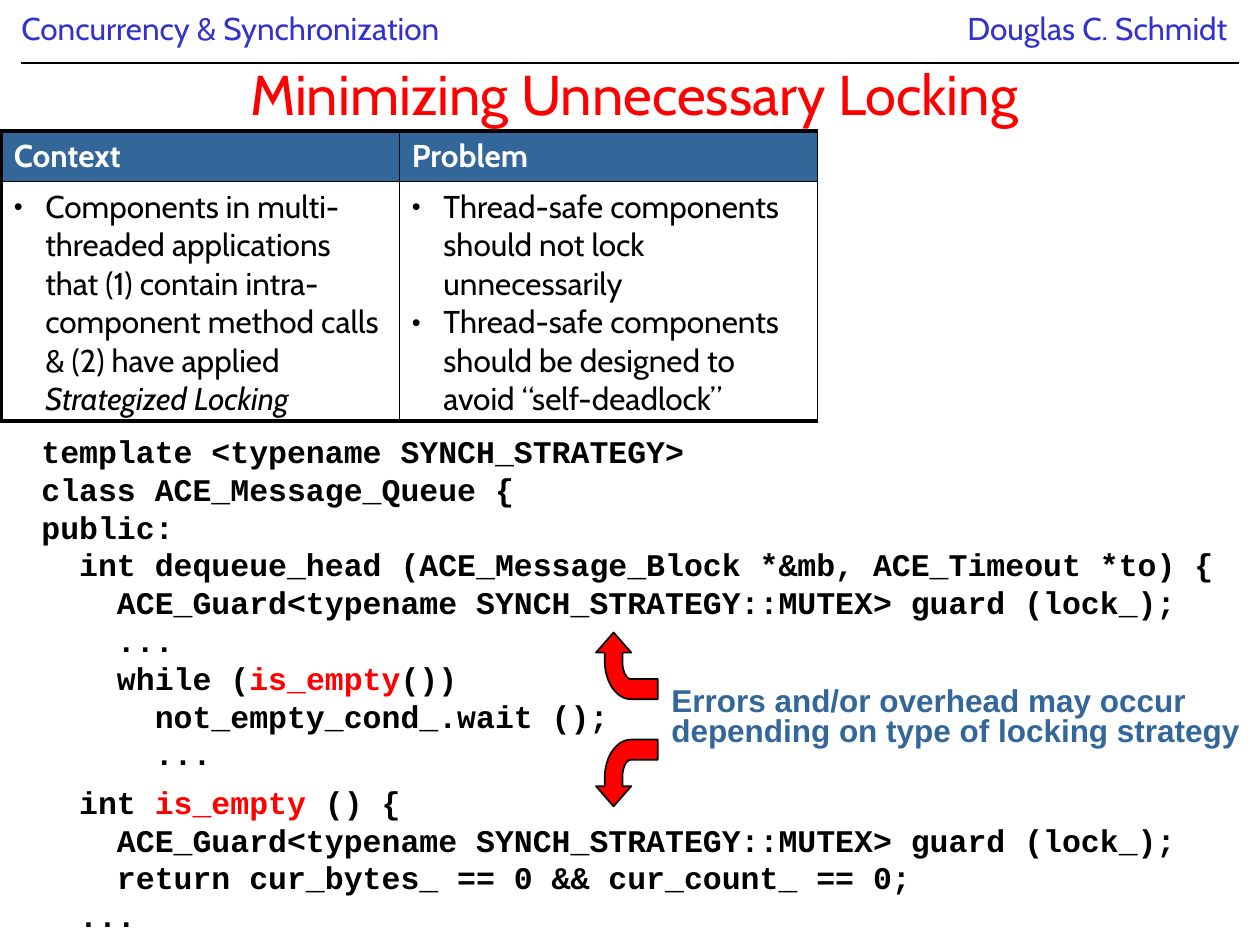
from lxml import etree
from pptx import Presentation
from pptx import util as u
from pptx.dml.color import RGBColor
from pptx.enum import shapes, text
from pptx.oxml.ns import qn

COLORS = {"header": "3333CC", "red": "FF0000", "blue": "336699",
          "black": "000000", "white": "FFFFFF"}

HEADERS = [
    ("Concurrency & Synchronization", (0.17, 0.06, 6.52, 0.37), "LEFT", 0),
    ("Douglas C. Schmidt", (7.33, 0.06, 2.51, 0.37), "RIGHT", 0.1),
]
TITLE = "Minimizing Unnecessary Locking"
COLUMNS = [
    ("Context", 3.16, [
        ("Components in multi-threaded applications that (1) contain "
         "intra-component method calls & (2) have applied ", "Strategized Locking")]),
    ("Problem", 3.32, [
        ("Thread-safe components should not lock unnecessarily",),
        ("Thread-safe components should be designed to avoid “self-deadlock”",)]),
]
ROW_HEIGHTS = [0.38, 1.34]
CALL = "is_empty"
CODE = [
    "template <typename SYNCH_STRATEGY> \nclass ACE_Message_Queue {",
    "public:",
    "  int dequeue_head (ACE_Message_Block *&mb, ACE_Timeout *to) {",
    "    ACE_Guard<typename SYNCH_STRATEGY::MUTEX> guard (lock_);",
    "    ...",
    "    while (is_empty()) \n      not_empty_cond_.wait ();",
    "      ...",
    "  int is_empty () {",
    "    ACE_Guard<typename SYNCH_STRATEGY::MUTEX> guard (lock_);",
    "    return cur_bytes_ == 0 && cur_count_ == 0;",
    "  ...",
]
METHOD_END = 6
NOTE = "Errors and/or overhead may occur depending on type of locking strategy"

ARROW_TIPS = [(5.02, 1), (6.4, -1)]
ARROW_X = 4.73
OUTER = [(0.07, 0.23), (0.07, 0.39), (0.16, 0.53), (0.28, 0.53)]
INNER = [(0.28, 0.37), (0.24, 0.37), (0.21, 0.31), (0.21, 0.23)]


def rgb(name):
    return RGBColor.from_string(COLORS[name])


def style(font, name, color, size=18, bold=False, italic=False):
    font.name, font.size = name, u.Pt(size)
    font.bold, font.italic = bold, italic
    font.color.rgb = rgb(color)


def text_box(s, box, grow=True):
    tf = s.shapes.add_textbox(*map(u.Inches, box)).text_frame
    tf.word_wrap = True
    if grow:
        tf.auto_size = text.MSO_AUTO_SIZE.SHAPE_TO_FIT_TEXT
    return tf


def add_header(s, label, box, align, inset):
    tf = text_box(s, box)
    tf.margin_left = tf.margin_right = u.Inches(inset)
    p = tf.paragraphs[0]
    p.text = label
    p.alignment = text.PP_ALIGN[align]
    p.line_spacing = 0.9
    style(p.runs[0].font, "Cabin", "header")


def add_bullet(p):
    pPr = p._p.get_or_add_pPr()
    pPr.set("marL", str(u.Inches(0.25)))
    pPr.set("indent", str(-u.Inches(0.25)))
    for tag, key, value in [("buSzPct", "val", "80000"),
                            ("buFont", "typeface", "Arial"),
                            ("buChar", "char", "•")]:
        etree.SubElement(pPr, qn("a:" + tag)).set(key, value)


def set_borders(cell, widths):
    tcPr = cell._tc.get_or_add_tcPr()
    for i, (side, width) in enumerate(zip("LRTB", widths)):
        ln = etree.Element(qn("a:ln" + side), w=str(u.Pt(width)))
        fill = etree.SubElement(ln, qn("a:solidFill"))
        etree.SubElement(fill, qn("a:srgbClr")).set("val", COLORS["black"])
        tcPr.insert(i, ln)


def add_pattern_table(s):
    width = sum(c[1] for c in COLUMNS)
    table = s.shapes.add_table(2, 2, *map(u.Inches, (0.01, 1.04, width, sum(ROW_HEIGHTS)))).table
    table.horz_banding = False
    for row, height in zip(table.rows, ROW_HEIGHTS):
        row.height = u.Inches(height)
    for col, (heading, width, bullets) in enumerate(COLUMNS):
        table.columns[col].width = u.Inches(width)
        left = 1 if col else 2.25
        head, body = table.cell(0, col), table.cell(1, col)
        set_borders(head, (left, 1, 2.25, 1))
        set_borders(body, (left, 1, 1, 2.25))
        head.fill.solid()
        head.fill.fore_color.rgb = rgb("blue")
        body.fill.background()
        head.text_frame.text = heading
        style(head.text_frame.paragraphs[0].runs[0].font, "Cabin", "white", bold=True)
        tf = body.text_frame
        for i, parts in enumerate(bullets):
            p = tf.add_paragraph() if i else tf.paragraphs[0]
            add_bullet(p)
            for j, part in enumerate(parts):
                r = p.add_run()
                r.text = part
                style(r.font, "Cabin", "black", italic=j > 0)


def add_code(s):
    tf = text_box(s, (0.23, 3.38, 9.81, 4.12))
    for i, block in enumerate(CODE):
        p = tf.add_paragraph() if i else tf.paragraphs[0]
        for j, line in enumerate(block.split("\n")):
            if j:
                p.add_line_break()
            for part in filter(None, line.partition(CALL)):
                r = p.add_run()
                r.text = part
                style(r.font, "Courier New", "red" if part == CALL else "black", bold=True)
        if i == METHOD_END:
            p.space_after = u.Pt(6)


def curve(points, steps=12):
    for k in range(steps + 1):
        t = k / steps
        weights = ((1 - t) ** 3, 3 * t * (1 - t) ** 2, 3 * t * t * (1 - t), t ** 3)
        yield tuple(sum(w * p[axis] for w, p in zip(weights, points)) for axis in (0, 1))


def add_arrow(s, tip, direction):
    outline = [(0.14, 0), (0, 0.16), (0.07, 0.16), *curve(OUTER),
               (0.49, 0.53), (0.49, 0.37), *curve(INNER), (0.21, 0.16), (0.28, 0.16)]
    points = [(u.Inches(ARROW_X + x), u.Inches(tip + direction * y)) for x, y in outline]
    fb = s.shapes.build_freeform(*points[0])
    fb.add_line_segments(points[1:], close=True)
    sp = fb.convert_to_shape()
    sp.shadow.inherit = False
    sp.fill.solid()
    sp.fill.fore_color.rgb = rgb("red")
    sp.line.color.rgb = rgb("black")
    sp.line.width = u.Pt(1)


def main():
    prs = Presentation()
    prs.slide_width, prs.slide_height = u.Inches(10), u.Inches(7.5)
    s = prs.slides.add_slide(prs.slide_layouts[6])

    rule = s.shapes.add_connector(shapes.MSO_CONNECTOR.STRAIGHT,
                                  *map(u.Inches, (0.17, 0.5, 9.83, 0.5)))
    rule.line.color.rgb = rgb("black")
    rule.line.width = u.Pt(0.75)
    etree.SubElement(rule._element.spPr, qn("a:effectLst"))
    for header in HEADERS:
        add_header(s, *header)

    footer = s.shapes.add_shape(shapes.MSO_SHAPE.RECTANGLE,
                                *map(u.Inches, (-0.02, 6.89, 10.02, 0.64)))
    footer.shadow.inherit = False
    footer.fill.solid()
    footer.fill.fore_color.rgb = rgb("white")
    footer.line.fill.background()

    tf = text_box(s, (0.31, 0.24, 9.45, 1), grow=False)
    tf.vertical_anchor = text.MSO_ANCHOR.MIDDLE
    tf.text = TITLE
    tf.paragraphs[0].alignment = text.PP_ALIGN.CENTER
    style(tf.paragraphs[0].runs[0].font, "Cabin", "red", size=32)

    add_pattern_table(s)
    add_code(s)

    tf = text_box(s, (5.23, 5.41, 4.73, 0.59))
    tf.text = NOTE
    tf.paragraphs[0].line_spacing = 0.8
    style(tf.paragraphs[0].runs[0].font, "Arial", "blue", bold=True)
    for tip, direction in ARROW_TIPS:
        add_arrow(s, tip, direction)

    prs.save("out.pptx")


if __name__ == "__main__":
    main()
